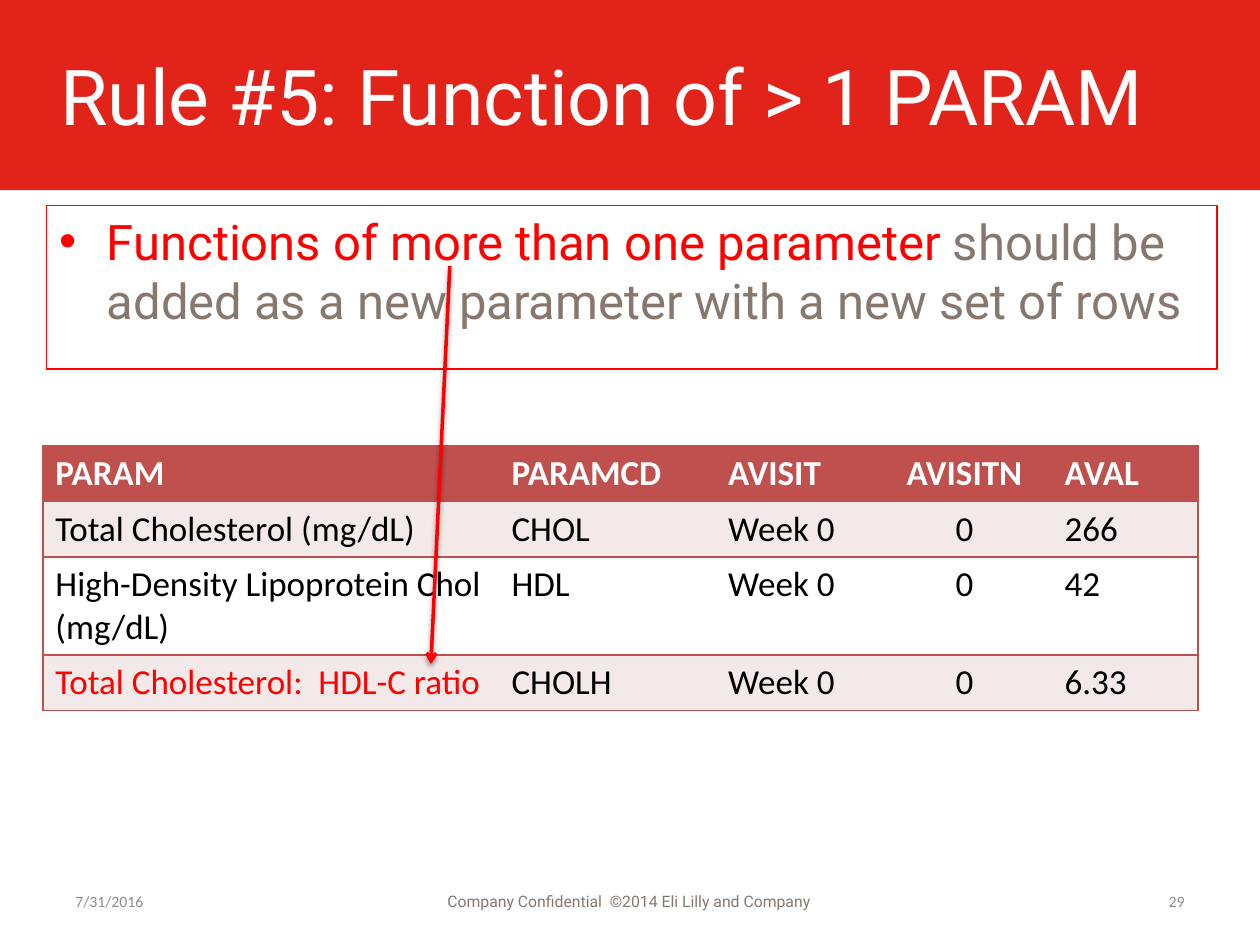
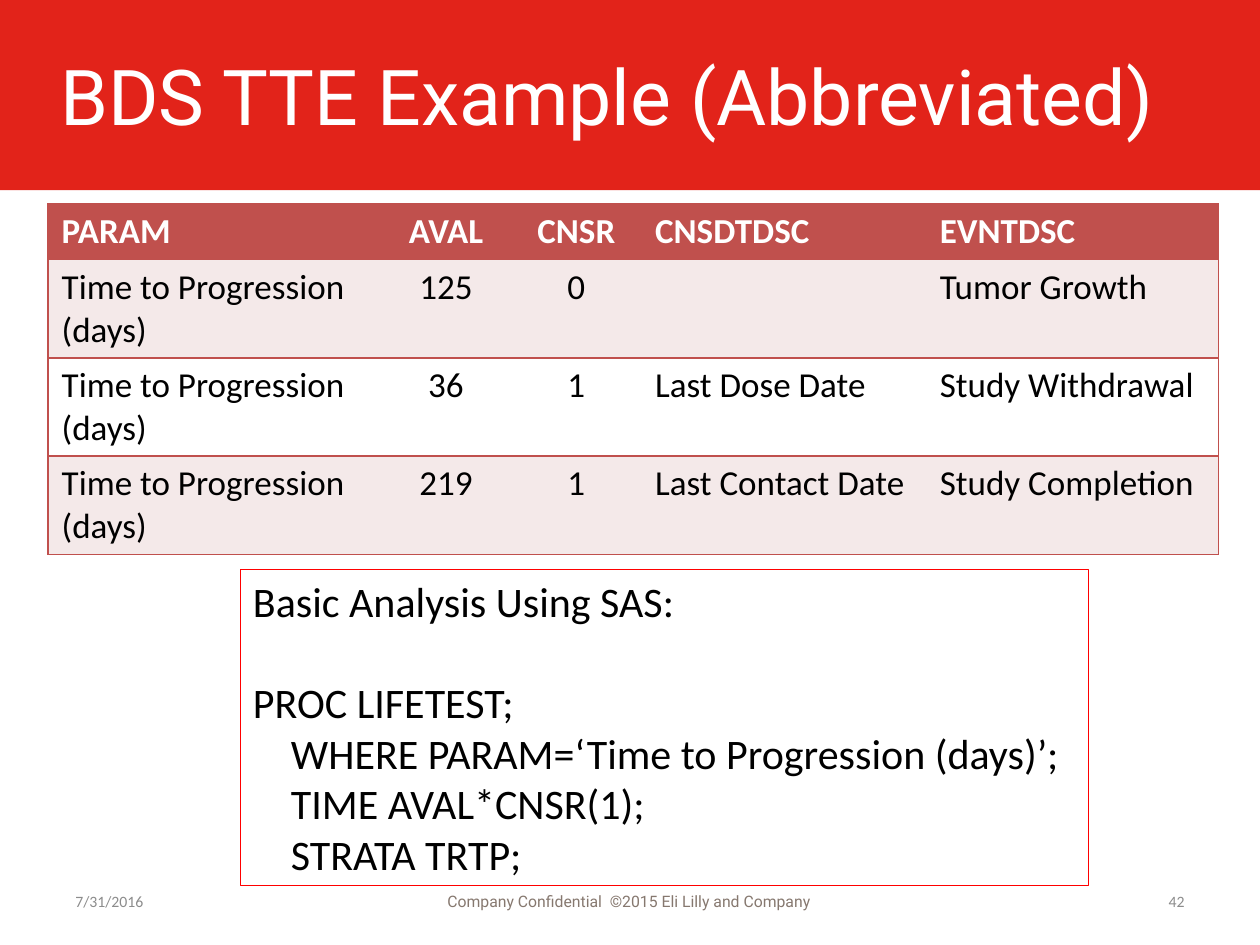
from lxml import etree
from pptx import Presentation
from pptx.dml.color import RGBColor
from pptx.enum.shapes import MSO_CONNECTOR, MSO_SHAPE
from pptx.enum.text import MSO_ANCHOR, PP_ALIGN as ALIGN
from pptx.oxml.ns import qn
from pptx.util import Inches, Pt

BAND_RED = RGBColor(0xE2, 0x23, 0x1A)
ACCENT_RED = RGBColor(0xFF, 0x00, 0x00)
TABLE_RED = RGBColor(0xC0, 0x50, 0x4D)
ROW_TINT = RGBColor(0xF4, 0xE9, 0xE9)
WHITE = RGBColor(0xFF, 0xFF, 0xFF)
BLACK = RGBColor(0x00, 0x00, 0x00)
WARM_GRAY = RGBColor(0x86, 0x78, 0x6F)
FOOTER_GRAY = RGBColor(0x8C, 0x8C, 0x8C)

HEADING_FONT = "Roboto"
TABLE_FONT = "Calibri"
ONE_LINE_ROW = 0.44
TWO_LINE_ROW = 0.78


def add_run(paragraph, text, font=TABLE_FONT, size=20, color=BLACK, bold=False):
    run = paragraph.add_run()
    run.text = text
    run.font.name = font
    run.font.size = Pt(size)
    run.font.color.rgb = color
    run.font.bold = bold


def add_bullet(paragraph, indent):
    """Give the paragraph a round bullet with a hanging indent."""
    properties = paragraph._p.get_or_add_pPr()
    properties.set("marL", str(Inches(indent)))
    properties.set("indent", str(-Inches(indent)))
    etree.SubElement(properties, qn("a:buFont"), typeface="Arial")
    etree.SubElement(properties, qn("a:buChar"), char="•")


def set_borders(cell, sides):
    """Draw the given sides (letters of LRTB) in the table red; hide the others."""
    properties = cell._tc.get_or_add_tcPr()
    for position, side in enumerate("LRTB"):
        line = etree.Element(qn(f"a:ln{side}"))
        properties.insert(position, line)
        if side in sides:
            line.set("w", str(Pt(1)))
            fill = etree.SubElement(line, qn("a:solidFill"))
            etree.SubElement(fill, qn("a:srgbClr"), val=str(TABLE_RED))
        else:
            etree.SubElement(line, qn("a:noFill"))


class SlideBuilder:
    def __init__(self, presentation):
        self.presentation = presentation
        self.slide = None

    def start(self, title, copyright_year, number):
        """Add a slide with its red title band and footer."""
        self.slide = self.presentation.slides.add_slide(
            self.presentation.slide_layouts[6])
        self.rectangle(0, 0, 10, 1.51, fill=BAND_RED)
        frame = self.text_box(0.38, 0.13, 9.29, 1.25, title, font=HEADING_FONT,
                              size=44, color=WHITE)
        frame.margin_top = frame.margin_bottom = Inches(0.1)

        self.footer(0.5, 2.33, "7/31/2016")
        self.footer(3.42, 3.17,
                    f"Company Confidential  ©{copyright_year} Eli Lilly and Company ",
                    align=ALIGN.CENTER, font=HEADING_FONT, color=WARM_GRAY)
        self.footer(7.17, 2.33, str(number), align=ALIGN.RIGHT)

    def rectangle(self, left, top, width, height, fill=None, line=None):
        shape = self.slide.shapes.add_shape(
            MSO_SHAPE.RECTANGLE, Inches(left), Inches(top),
            Inches(width), Inches(height))
        shape.shadow.inherit = False
        if fill is None:
            shape.fill.background()
        else:
            shape.fill.solid()
            shape.fill.fore_color.rgb = fill
        if line is None:
            shape.line.fill.background()
        else:
            shape.line.color.rgb = line
            shape.line.width = Pt(0.75)
        return shape

    def text_box(self, left, top, width, height, text, align=ALIGN.LEFT, **style):
        frame = self.slide.shapes.add_textbox(
            Inches(left), Inches(top), Inches(width), Inches(height)).text_frame
        frame.word_wrap = True
        frame.vertical_anchor = MSO_ANCHOR.MIDDLE
        frame.paragraphs[0].alignment = align
        add_run(frame.paragraphs[0], text, **style)
        return frame

    def footer(self, left, width, text, align=ALIGN.LEFT, color=FOOTER_GRAY, **style):
        self.text_box(left, 6.95, width, 0.4, text, align, size=9, color=color, **style)

    def outlined_box(self, left, top, width, height):
        """Add an empty outlined box and return its top-anchored text frame."""
        frame = self.rectangle(left, top, width, height, line=ACCENT_RED).text_frame
        frame.vertical_anchor = MSO_ANCHOR.TOP
        frame.paragraphs[0].alignment = ALIGN.LEFT
        return frame

    def bullet_box(self, left, top, width, height, *parts):
        """Add one bulleted paragraph made of (text, colour) parts."""
        frame = self.outlined_box(left, top, width, height)
        frame.word_wrap = True
        add_bullet(frame.paragraphs[0], 0.38)
        for text, color in parts:
            add_run(frame.paragraphs[0], text, font=HEADING_FONT, size=28, color=color)

    def code_box(self, left, top, width, height, heading, code_lines):
        frame = self.outlined_box(left, top, width, height)
        frame.word_wrap = False
        add_run(frame.paragraphs[0], heading, size=24)
        for index, code_line in enumerate(code_lines):
            paragraph = frame.add_paragraph()
            paragraph.alignment = ALIGN.LEFT
            if index == 0:
                paragraph.space_before = Pt(29)
            add_run(paragraph, code_line, size=24)

    def table(self, left, top, column_widths, row_heights, rows,
              centered=(), highlighted=(), margin=0.1):
        """Add a banded table; highlighted holds (row, column) pairs in red."""
        table = self.slide.shapes.add_table(
            len(rows), len(column_widths), Inches(left), Inches(top),
            Inches(sum(column_widths)), Inches(sum(row_heights))).table
        for column, width in zip(table.columns, column_widths):
            column.width = Inches(width)
        for row, height in zip(table.rows, row_heights):
            row.height = Inches(height)

        last_column = len(column_widths) - 1
        for r, values in enumerate(rows):
            row_fill = TABLE_RED if r == 0 else ROW_TINT if r % 2 else WHITE
            for c, value in enumerate(values):
                cell = table.cell(r, c)
                cell.margin_left = cell.margin_right = Inches(margin)
                cell.fill.solid()
                cell.fill.fore_color.rgb = row_fill
                set_borders(cell, "TB" + "L" * (c == 0) + "R" * (c == last_column))
                if not value:
                    continue
                color = WHITE if r == 0 else BLACK
                if (r, c) in highlighted:
                    color = ACCENT_RED
                paragraph = cell.text_frame.paragraphs[0]
                paragraph.alignment = ALIGN.CENTER if c in centered else ALIGN.LEFT
                add_run(paragraph, value, color=color, bold=r == 0)

    def arrow(self, start, end):
        """Add a red arrow with a soft shadow below it."""
        connector = self.slide.shapes.add_connector(
            MSO_CONNECTOR.STRAIGHT, *map(Inches, start + end))
        connector.line.color.rgb = ACCENT_RED
        connector.line.width = Pt(2)
        etree.SubElement(connector.line._get_or_add_ln(), qn("a:tailEnd"), type="arrow")
        effects = etree.SubElement(connector._element.spPr, qn("a:effectLst"))
        shadow = etree.SubElement(
            effects, qn("a:outerShdw"), blurRad=str(Pt(3.1)), dist=str(Pt(1.6)),
            dir="5400000", rotWithShape="0")
        color = etree.SubElement(shadow, qn("a:srgbClr"), val=str(BLACK))
        etree.SubElement(color, qn("a:alpha"), val="38000")


def add_parameter_rule(builder):
    builder.start("Rule #5: Function of > 1 PARAM", 2014, 29)
    builder.bullet_box(
        0.37, 1.63, 9.29, 1.3,
        ("Functions of more than one parameter ", ACCENT_RED),
        ("should be added as a new parameter with a new set of rows", WARM_GRAY))
    builder.table(
        0.34, 3.54, [3.62, 1.72, 1.28, 1.39, 1.16],
        [ONE_LINE_ROW, ONE_LINE_ROW, TWO_LINE_ROW, ONE_LINE_ROW],
        [("PARAM", "PARAMCD", "AVISIT", "AVISITN", "AVAL"),
         ("Total Cholesterol (mg/dL)", "CHOL", "Week 0", "0", "266"),
         ("High-Density Lipoprotein Chol (mg/dL)", "HDL", "Week 0", "0", "42"),
         ("Total Cholesterol:  HDL-C ratio", "CHOLH", "Week 0", "0", "6.33")],
        centered=(3,), highlighted={(3, 0)})
    builder.arrow((3.57, 2.11), (3.42, 5.27))


def add_time_to_event_example(builder):
    builder.start("BDS TTE Example (Abbreviated)", 2015, 42)
    parameter = "Time to Progression (days)"
    builder.table(
        0.38, 1.62, [2.64, 1.04, 1.03, 2.26, 2.32],
        [ONE_LINE_ROW] + [TWO_LINE_ROW] * 3,
        [("PARAM", "AVAL", "CNSR", "CNSDTDSC", "EVNTDSC"),
         (parameter, "125", "0", "", "Tumor Growth"),
         (parameter, "36", "1", "Last Dose Date", "Study Withdrawal"),
         (parameter, "219", "1", "Last Contact Date", "Study Completion")],
        centered=(1, 2), margin=0.11)
    builder.code_box(
        1.91, 4.52, 6.73, 2.51, "Basic Analysis Using SAS:",
        ["PROC LIFETEST;",
         "    WHERE PARAM=‘Time to Progression (days)’;",
         "    TIME AVAL*CNSR(1);",
         "    STRATA TRTP;"])


def main():
    presentation = Presentation()
    presentation.slide_width = Inches(10)
    presentation.slide_height = Inches(7.5)
    builder = SlideBuilder(presentation)
    add_parameter_rule(builder)
    add_time_to_event_example(builder)
    presentation.save("out.pptx")


if __name__ == "__main__":
    main()
